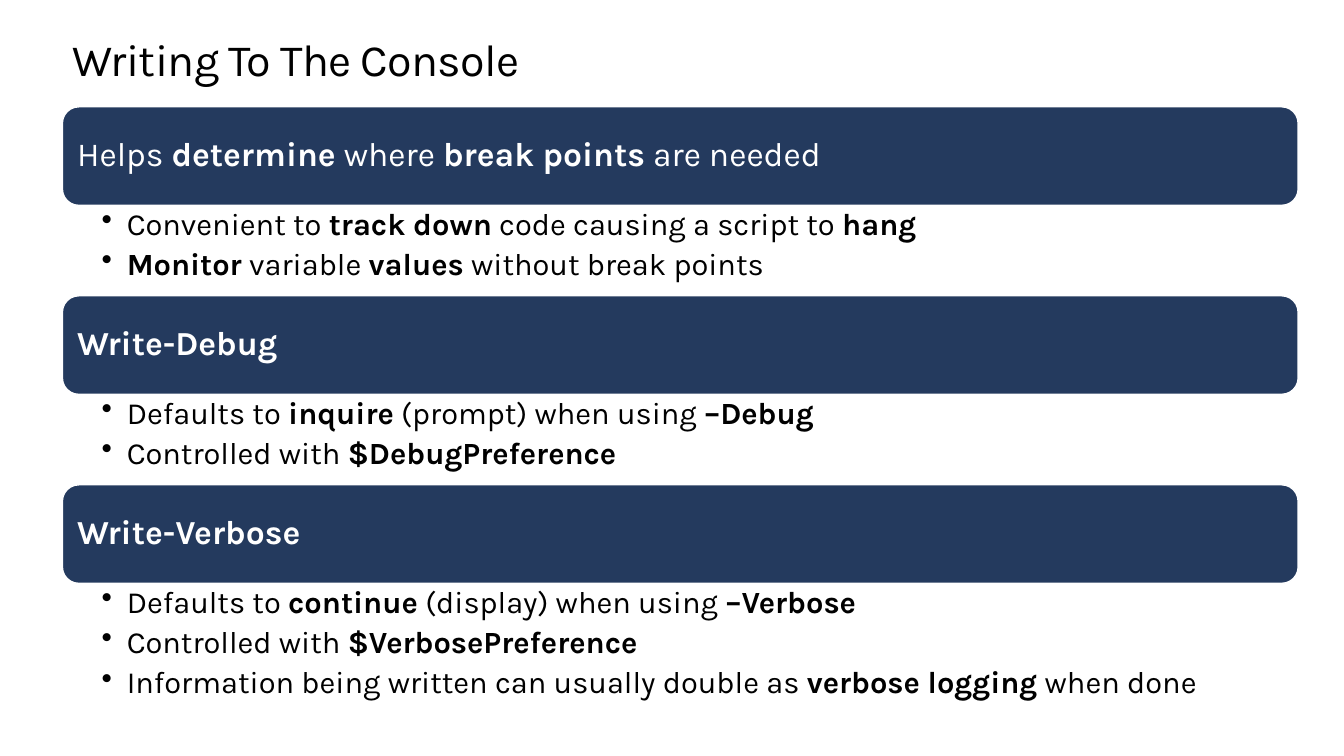
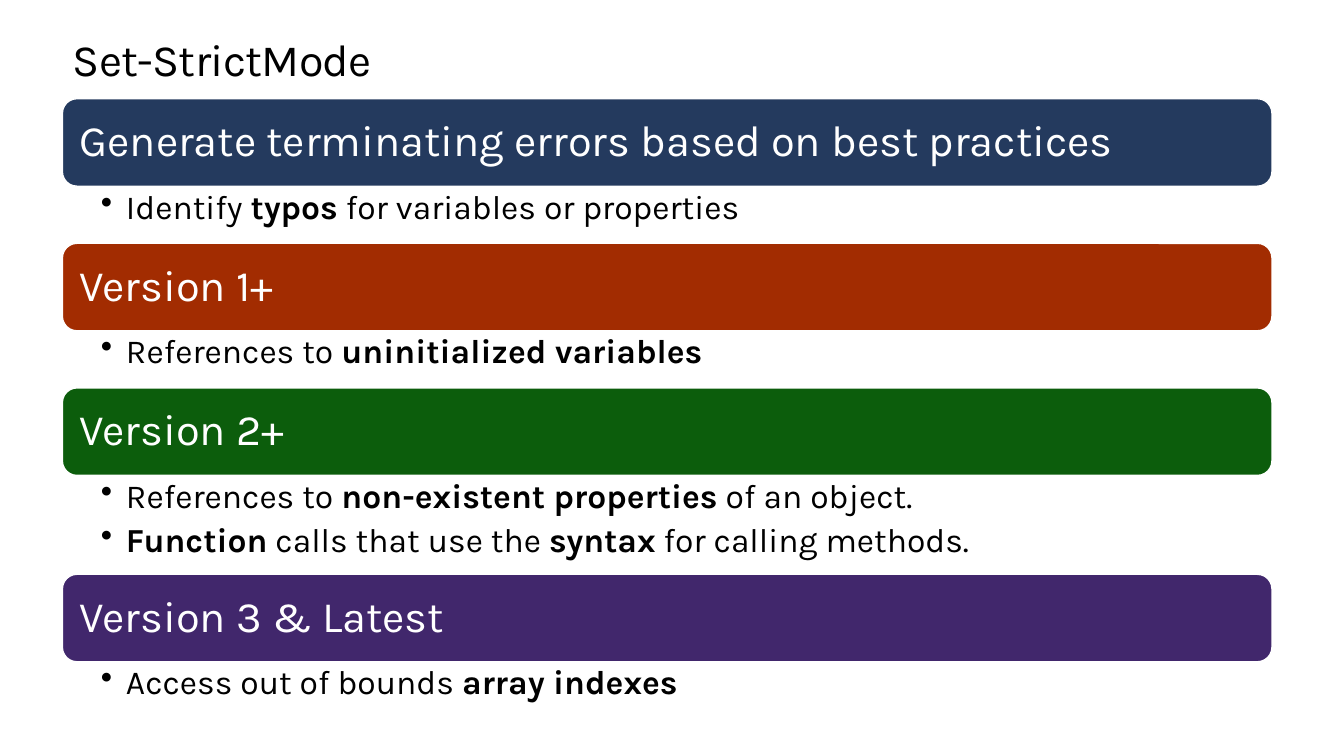
from collections import namedtuple

from lxml.etree import SubElement
from pptx import Presentation
from pptx.dml.color import RGBColor
from pptx.enum.shapes import MSO_SHAPE as SHAPE
from pptx.enum.text import MSO_ANCHOR as ANCHOR, PP_ALIGN as ALIGN
from pptx.oxml.ns import qn
from pptx.util import Pt

# Shared look
FONT = "Karla"
BLACK = RGBColor(0x00, 0x00, 0x00)
WHITE = RGBColor(0xFF, 0xFF, 0xFF)
NAVY = RGBColor(0x24, 0x3A, 0x5E)
RUST = RGBColor(0xA2, 0x2C, 0x01)
GREEN = RGBColor(0x0C, 0x5D, 0x0C)
PURPLE = RGBColor(0x41, 0x27, 0x6C)

LEFT = 44.6
BULLET_INDENT = 18

# Measures of one stack of bands and lists, in points;
# a list is as tall as its bullets plus list_pad
Stack = namedtuple("Stack", "top width band_height band_size band_inset "
                            "bullet_size bullet_height list_pad list_insets")
CONSOLE_STACK = Stack(76.3, 882.7, 70.4, 24, 7.2, 22, 31, 2.6, (28, 2.2, 12, 2.2))
STRICT_STACK = Stack(70.5, 864, 62.5, 31, 9.3, 24, 29.8, 11, (27.4, 2.8, 17, 2.8))

# Content: band text, band colour, bullets; ** encloses bold words
CONSOLE_SECTIONS = [
    ("Helps **determine** where **break points** are needed", NAVY, [
        "Convenient to **track down** code causing a script to **hang**",
        "**Monitor** variable **values** without break points"]),
    ("**Write-Debug**", NAVY, [
        "Defaults to **inquire** (prompt) when using **–Debug**",
        "Controlled with **$DebugPreference**"]),
    ("**Write-Verbose**", NAVY, [
        "Defaults to **continue** (display) when using **–Verbose**",
        "Controlled with **$VerbosePreference**",
        "Information being written can usually double as **verbose logging** when done"]),
]
STRICT_SECTIONS = [
    ("Generate terminating errors based on best practices", NAVY, [
        "Identify **typos** for variables or properties"]),
    ("Version 1+", RUST, ["References to **uninitialized variables**"]),
    ("Version 2+", GREEN, [
        "References to **non-existent properties** of an object.",
        "**Function** calls that use the **syntax** for calling methods."]),
    ("Version 3 & Latest", PURPLE, ["Access out of bounds **array indexes**"]),
]


def write_text(tf, lines, size, color=BLACK, insets=(0, 0, 0, 0), anchor=ANCHOR.TOP,
               line_spacing=0.9, space_after=0, tracking=None, bullet=None):
    """Fill a text frame with one paragraph per line."""
    tf.word_wrap = True
    tf.vertical_anchor = anchor
    tf.margin_left, tf.margin_top, tf.margin_right, tf.margin_bottom = map(Pt, insets)
    for i, line in enumerate(lines):
        p = tf.add_paragraph() if i else tf.paragraphs[0]
        p.alignment = ALIGN.LEFT
        p.line_spacing = line_spacing
        p.space_after = Pt(space_after)
        if bullet:
            p.level = 1
            pPr = p._p.get_or_add_pPr()
            pPr.set("marL", str(Pt(BULLET_INDENT)))
            pPr.set("indent", str(-Pt(BULLET_INDENT)))
            SubElement(pPr, qn("a:buChar")).set("char", bullet)
        for j, part in enumerate(line.split("**")):
            if not part:
                continue
            r = p.add_run()
            r.text = part
            r.font.name = FONT
            r.font.size = Pt(size)
            r.font.bold = j % 2 == 1
            r.font.color.rgb = color
            if tracking is not None:
                r.font._element.set("spc", str(round(tracking * 100)))


def add_text_box(slide, left, top, width, height, lines, **text_format):
    sp = slide.shapes.add_textbox(Pt(left), Pt(top), Pt(width), Pt(height))
    write_text(sp.text_frame, lines, **text_format)


def add_title(slide, title):
    add_text_box(slide, 52, 25.2, 856.8, 36, [title], size=32,
                 line_spacing=Pt(36.2), tracking=-0.5)


def add_band(slide, top, text, color, stack):
    sp = slide.shapes.add_shape(SHAPE.ROUNDED_RECTANGLE, Pt(LEFT), Pt(top),
                                Pt(stack.width), Pt(stack.band_height))
    sp.shadow.inherit = False
    sp.fill.solid()
    sp.fill.fore_color.rgb = color
    sp.line.color.rgb = WHITE
    sp.line.width = Pt(1)
    write_text(sp.text_frame, [text], size=stack.band_size, color=WHITE,
               insets=(stack.band_inset,) * 4, anchor=ANCHOR.MIDDLE)


def add_stack(slide, sections, stack):
    """Place each band directly above its list, from the top down."""
    top = stack.top
    for heading, color, bullets in sections:
        add_band(slide, top, heading, color, stack)
        top += stack.band_height
        height = stack.bullet_height * len(bullets) + stack.list_pad
        add_text_box(slide, LEFT, top, stack.width, height, bullets,
                     size=stack.bullet_size, insets=stack.list_insets,
                     space_after=round(stack.bullet_size * 0.23, 1), bullet="•")
        top += height


def main():
    prs = Presentation()
    prs.slide_width, prs.slide_height = Pt(960), Pt(540)
    for title, sections, stack in [
        ("Writing To The Console", CONSOLE_SECTIONS, CONSOLE_STACK),
        ("Set-StrictMode", STRICT_SECTIONS, STRICT_STACK),
    ]:
        slide = prs.slides.add_slide(prs.slide_layouts[6])
        add_title(slide, title)
        add_stack(slide, sections, stack)
    prs.save("out.pptx")


if __name__ == "__main__":
    main()
